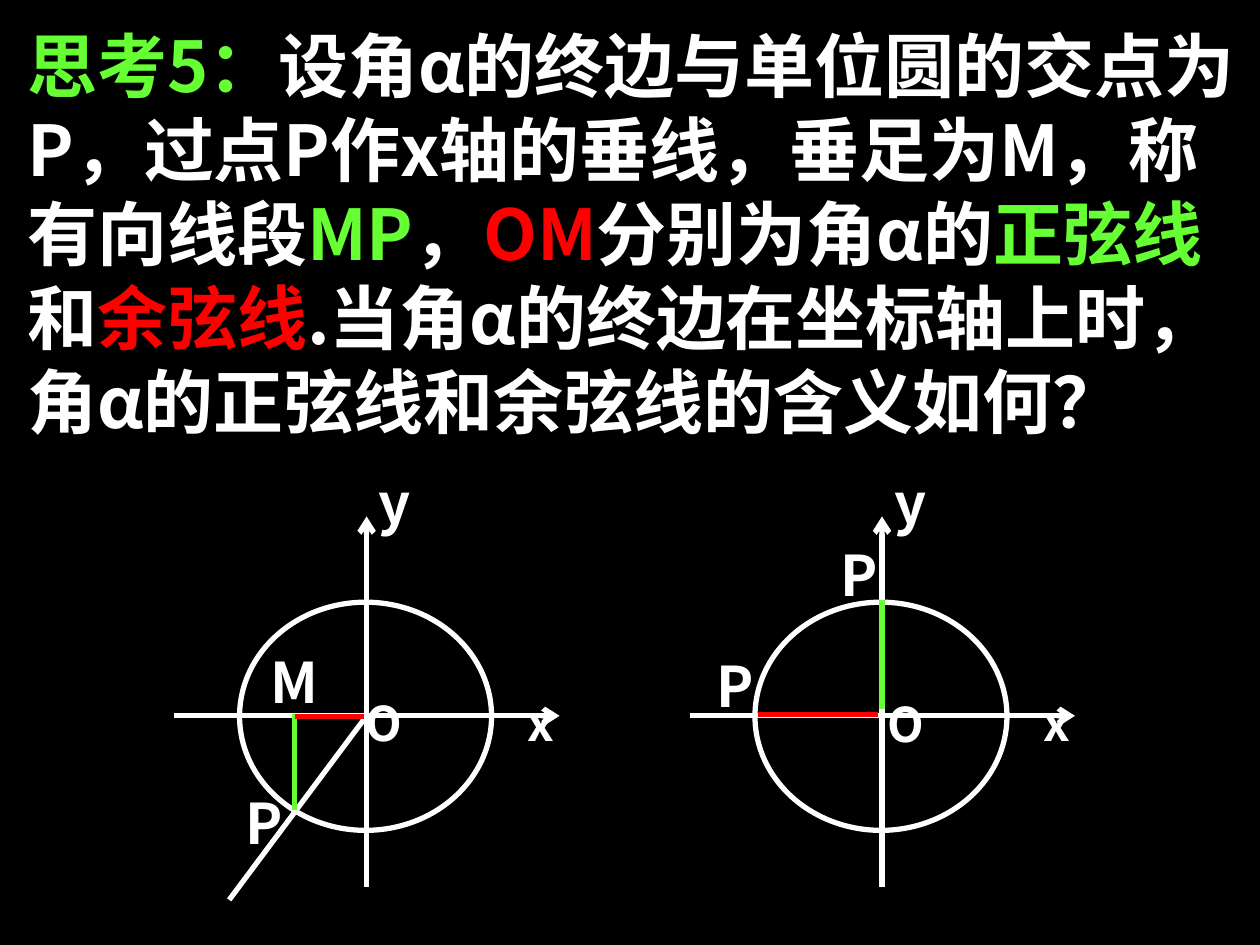
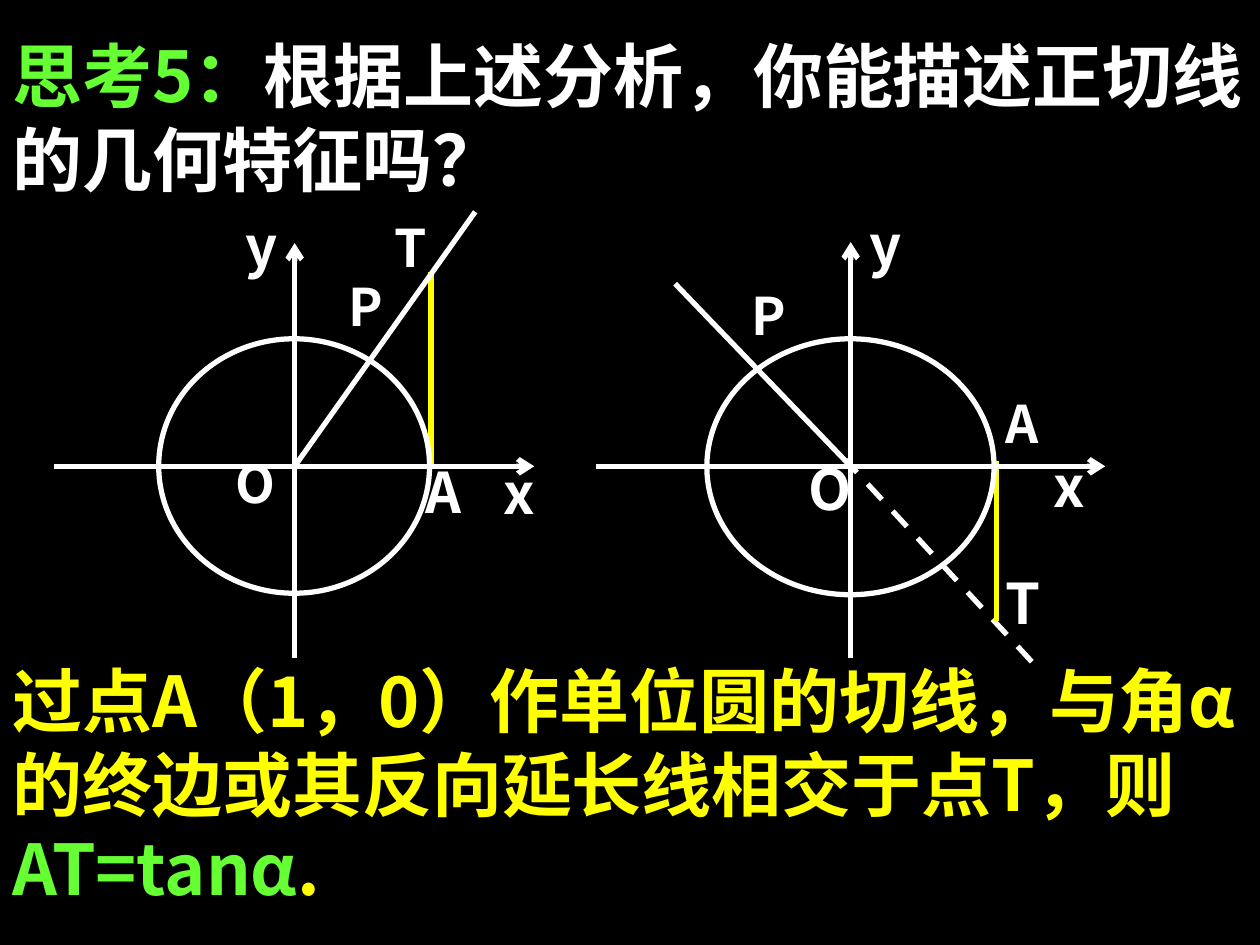
from lxml import etree
from pptx import Presentation
from pptx.dml.color import RGBColor
from pptx.enum.dml import MSO_LINE_DASH_STYLE as DASH
from pptx.enum.shapes import MSO_CONNECTOR_TYPE as CONNECTOR, MSO_SHAPE as SHAPE
from pptx.enum.text import MSO_ANCHOR as ANCHOR, MSO_AUTO_SIZE as AUTO_SIZE, PP_ALIGN as ALIGN
from pptx.oxml.ns import qn
from pptx.util import Cm, Pt

COLORS = {
    "background": "000000",
    "text": "FFFFFF",
    "sine": "66FF33",
    "cosine": "FF0000",
    "tangent": "FFFF00",
}
FONT = "Noto Sans CJK SC"
LINE_WIDTH = Pt(3)
TITLE_ONLY, TITLE_AND_BODY = 5, 1
LARGE, MEDIUM, SMALL = 32, 29.6, 27.2


def rgb(name):
    return RGBColor.from_string(COLORS[name])


def format_run(run, size, color):
    run.font.size = Pt(size)
    run.font.bold = True
    run.font.color.rgb = rgb(color)
    run.font.name = FONT
    east_asian = etree.SubElement(run._r.get_or_add_rPr(), qn("a:ea"))
    east_asian.set("typeface", FONT)


def fill_placeholder(shape, box, parts):
    shape.left, shape.top, shape.width, shape.height = map(Cm, box)
    frame = shape.text_frame
    frame.word_wrap = True
    frame.auto_size = AUTO_SIZE.NONE
    frame.vertical_anchor = ANCHOR.TOP
    paragraph = frame.paragraphs[0]
    paragraph.alignment = ALIGN.LEFT
    paragraph.line_spacing = Pt(48)
    paragraph.space_before = Pt(0)
    properties = paragraph._p.get_or_add_pPr()
    properties.set("marL", "0")
    properties.set("indent", "0")
    etree.SubElement(properties, qn("a:buNone"))
    for text, color in parts:
        run = paragraph.add_run()
        run.text = text
        format_run(run, 40, color)


def add_label(slide, text, left, top, size=LARGE):
    frame = slide.shapes.add_textbox(Cm(left), Cm(top), Cm(1.75), Cm(1.7)).text_frame
    frame.word_wrap = True
    frame.text = text
    paragraph = frame.paragraphs[0]
    paragraph.alignment = ALIGN.JUSTIFY
    if size < LARGE:
        paragraph.line_spacing = 0.9
    format_run(paragraph.runs[0], size, "text")


def add_line(slide, start, end, color="text", arrow=False, dashed=False):
    connector = slide.shapes.add_connector(CONNECTOR.STRAIGHT, *map(Cm, start + end))
    connector.line.width = LINE_WIDTH
    connector.line.color.rgb = rgb(color)
    if dashed:
        connector.line.dash_style = DASH.DASH
    if arrow:
        tail = etree.SubElement(connector.line._get_or_add_ln(), qn("a:tailEnd"))
        tail.set("type", "arrow")
    etree.SubElement(connector._element.spPr, qn("a:effectLst"))


def add_unit_circle(slide, circle, horizontal, vertical):
    shape = slide.shapes.add_shape(SHAPE.OVAL, *map(Cm, circle))
    shape.shadow.inherit = False
    shape.fill.background()
    shape.line.color.rgb = rgb("text")
    shape.line.width = LINE_WIDTH
    left, right, axis_y = horizontal
    axis_x, bottom, top = vertical
    add_line(slide, (left, axis_y), (right, axis_y), arrow=True)
    add_line(slide, (axis_x, bottom), (axis_x, top), arrow=True)


def add_labels(slide, labels):
    for label in labels:
        add_label(slide, *label)


def build_sine_cosine_slide(presentation):
    slide = presentation.slides.add_slide(presentation.slide_layouts[TITLE_ONLY])
    fill_placeholder(slide.shapes.title, (0.3, 0.33, 24.9, 10.41), [
        ("思考5：", "sine"),
        ("设角α的终边与单位圆的交点为P，过点P作x轴的垂线，垂足为M，称有向线段", "text"),
        ("MP", "sine"),
        ("，", "text"),
        ("OM", "cosine"),
        ("分别为角α的", "text"),
        ("正弦线", "sine"),
        ("和", "text"),
        ("余弦线", "cosine"),
        (".当角α的终边在坐标轴上时，角α的正弦线和余弦线的含义如何？", "text"),
    ])
    for shift in (0, 10.39):
        add_unit_circle(slide, (4.83 + shift, 12.14, 5.08, 4.6),
                        (3.51 + shift, 11.28 + shift, 14.43),
                        (7.39 + shift, 17.88, 10.41))
        add_label(slide, "x", 10.39 + shift, 14, SMALL)
        add_label(slide, "y", 7.39 + shift, 9.32)

    add_line(slide, (7.39, 14.43), (4.62, 18.14))
    add_line(slide, (5.94, 14.4), (5.94, 16.33), "sine")
    add_line(slide, (5.94, 14.45), (7.34, 14.45), "cosine")
    add_line(slide, (17.78, 12.09), (17.78, 14.3), "sine")
    add_line(slide, (15.29, 14.4), (17.7, 14.4), "cosine")
    add_labels(slide, [
        ("O", 7.11, 14, SMALL), ("P", 4.7, 15.77), ("M", 5.21, 12.93),
        ("O", 17.65, 14.02, SMALL), ("P", 16.69, 10.77), ("P", 14.2, 13),
    ])


def build_tangent_slide(presentation):
    slide = presentation.slides.add_slide(presentation.slide_layouts[TITLE_AND_BODY])
    fill_placeholder(slide.shapes.title, (0, 0.53, 25.4, 3.66), [
        ("思考5：", "sine"),
        ("根据上述分析，你能描述正切线的几何特征吗？", "text"),
    ])
    fill_placeholder(slide.placeholders[1], (0, 13.13, 25.4, 5.33), [
        ("过点A（1，0）作单位圆的切线，与角α的终边或其反向延长线相交于点T，则", "tangent"),
        ("AT=tanα", "sine"),
        (".", "tangent"),
    ])

    add_line(slide, (8.69, 9.35), (8.69, 5.49), "tangent")
    add_unit_circle(slide, (3.2, 6.83, 5.46, 5.13), (1.09, 10.77, 9.4), (5.94, 13.26, 4.9))
    add_line(slide, (5.94, 9.4), (9.58, 4.27))
    add_labels(slide, [
        ("A", 8.33, 9.09), ("T", 7.7, 4.37, MEDIUM), ("O", 4.5, 9.12, MEDIUM),
        ("x", 9.91, 9.12), ("y", 4.7, 4.14), ("P", 6.78, 5.56, MEDIUM),
    ])

    add_line(slide, (20.8, 13.34), (17.04, 9.27), dashed=True)
    add_line(slide, (20.09, 9.3), (20.09, 12.52), "tangent")
    add_unit_circle(slide, (14.25, 6.83, 5.79, 5.16), (12.01, 22.28, 9.4), (17.15, 13.26, 4.88))
    add_line(slide, (17.12, 9.37), (13.61, 5.72))
    add_labels(slide, [
        ("A", 20.02, 7.92, MEDIUM), ("T", 20.02, 11.33), ("O", 16.05, 9.04),
        ("x", 20.98, 8.97), ("y", 17.27, 4.11), ("P", 14.91, 5.74, MEDIUM),
    ])


def main():
    presentation = Presentation()
    presentation.slide_width = Cm(25.4)
    presentation.slide_height = Cm(19.05)
    background = presentation.slide_master.background.fill
    background.solid()
    background.fore_color.rgb = rgb("background")
    build_sine_cosine_slide(presentation)
    build_tangent_slide(presentation)
    presentation.save("out.pptx")


if __name__ == "__main__":
    main()
